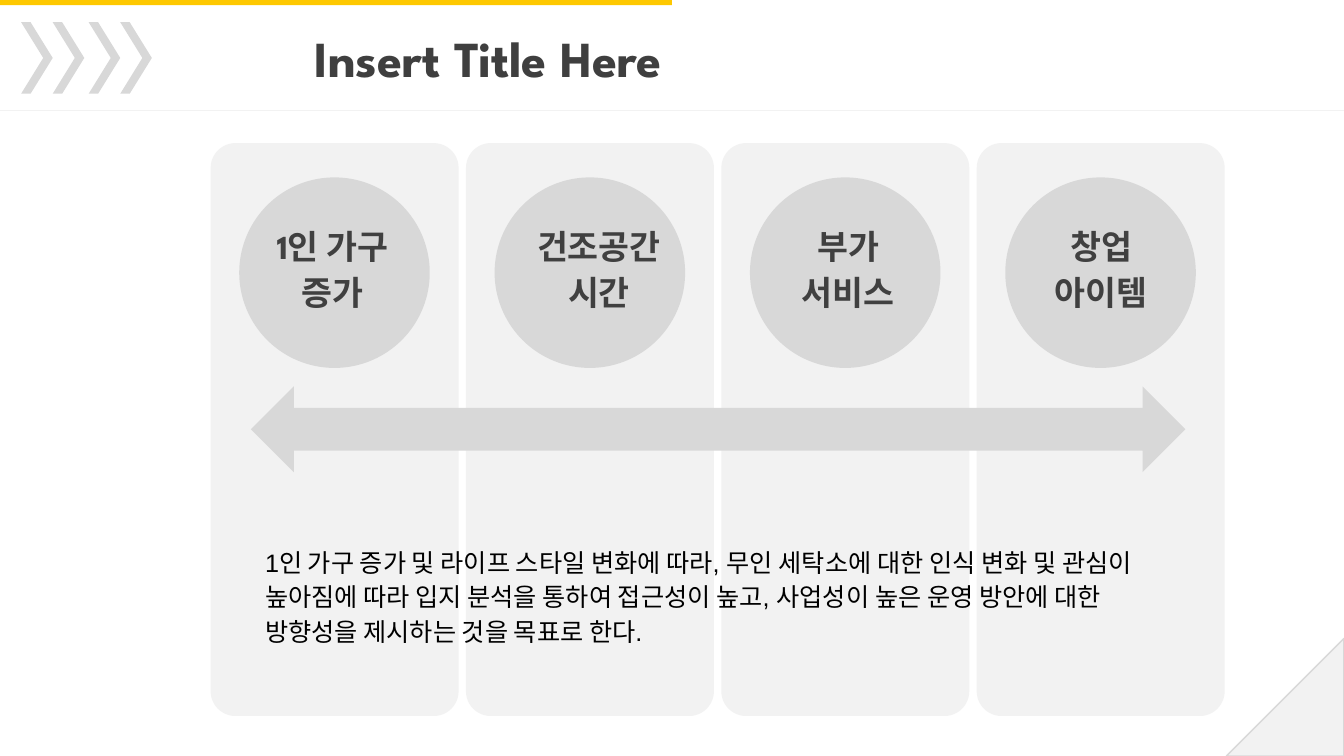
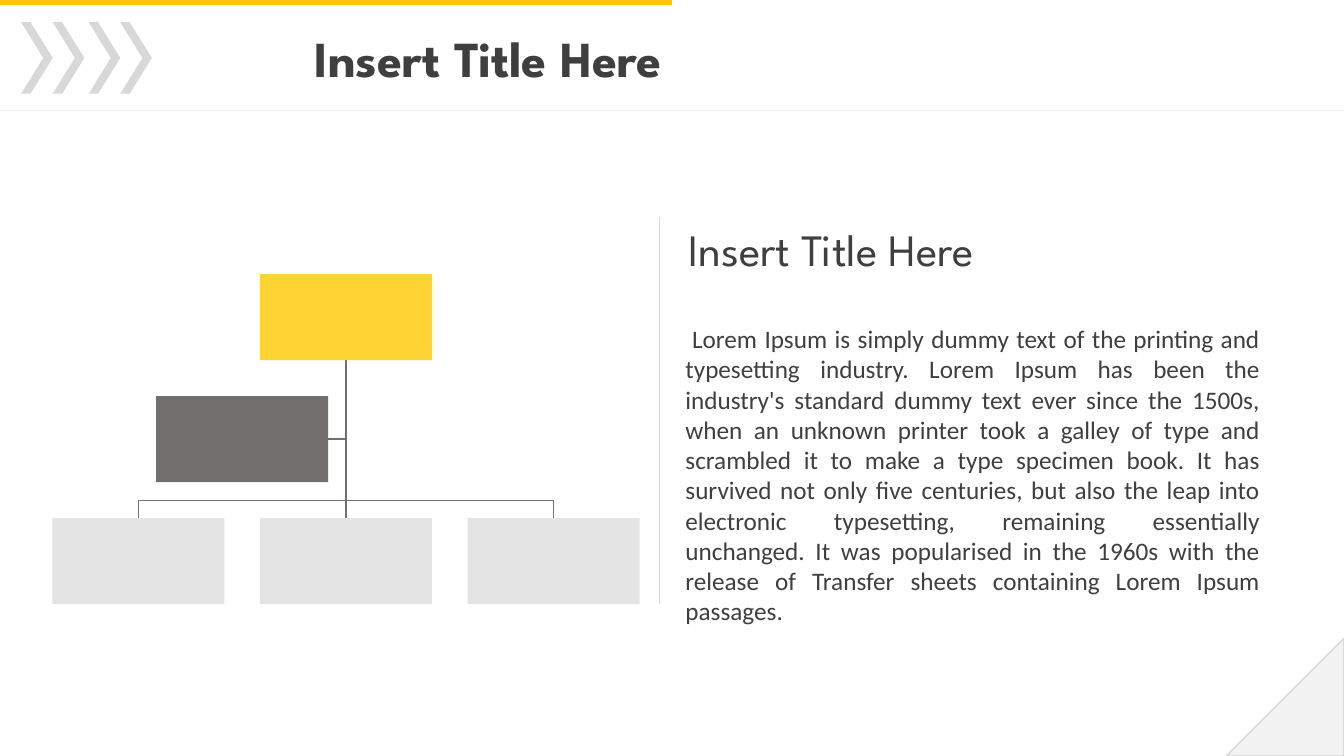
import dataclasses

import lxml.etree
import pptx
import pptx.dml.color
import pptx.enum.shapes
import pptx.enum.text
import pptx.oxml.ns
import pptx.shapes.shapetree
import pptx.util

PX = 3048
SHAPES = pptx.enum.shapes.MSO_SHAPE
ALIGN = pptx.enum.text.PP_ALIGN


@dataclasses.dataclass(frozen=True)
class Theme:
    yellow: str = "FEC800"
    soft_yellow: str = "FED333"
    panel: str = "F2F2F2"
    silver: str = "D8D8D8"
    pale: str = "E4E4E4"
    stone: str = "746F6F"
    ink: str = "3F3F3F"
    label: str = "404040"
    black: str = "000000"
    display: str = "League Spartan"
    sans: str = "Arial"
    reading: str = "Calibri"
    title_size: int = 36
    subtitle_size: int = 32
    label_size: int = 24
    body_size: int = 18
    hairline: float = 0.75
    rule: float = 1


@dataclasses.dataclass(frozen=True)
class Box:
    left: int
    top: int
    width: int
    height: int

    def inside(self, left, top, width, height):
        return Box(self.left + left, self.top + top, width, height)

    def emu(self):
        return [value * PX for value in dataclasses.astuple(self)]


THEME = Theme()
PAGE = Box(0, 0, 4000, 2250)
TITLE = "Insert Title Here"
CARD_LABELS = [
    (-6, 483, [[("1", THEME.display), ("인 가구 증가", THEME.sans)]]),
    (27, 483, [[("건조공간", THEME.sans)], [("시간", THEME.sans)]]),
    (8, 444, [[("부가", THEME.sans)], [("서비스", THEME.sans)]]),
    (1, 444, [[("창업", THEME.sans)], [("아이템", THEME.sans)]]),
]
GOAL = (
    "1인 가구 증가 및 라이프 스타일 변화에 따라, 무인 세탁소에 대한 인식 변화 및 관심이 "
    "높아짐에 따라 입지 분석을 통하여 접근성이 높고, 사업성이 높은 운영 방안에 대한 "
    "방향성을 제시하는 것을 목표로 한다."
)
LOREM = (
    "Lorem Ipsum is simply dummy text of the printing and typesetting industry. "
    "Lorem Ipsum has been the industry's standard dummy text ever since the 1500s, "
    "when an unknown printer took a galley of type and scrambled it to make a type "
    "specimen book. It has survived not only five centuries, but also the leap into "
    "electronic typesetting, remaining essentially unchanged. It was popularised in "
    "the 1960s with the release of Transfer sheets containing Lorem Ipsum passages."
)


def color(value):
    return pptx.dml.color.RGBColor.from_string(value)


def add_filled(shapes, kind, box, fill, adjustments=()):
    shape = shapes.add_shape(kind, *box.emu())
    shape.shadow.inherit = False
    shape.fill.solid()
    shape.fill.fore_color.rgb = color(fill)
    shape.line.fill.background()
    for index, value in enumerate(adjustments):
        shape.adjustments[index] = value
    return shape


def add_line(shapes, start, end, stroke, width):
    points = [value * PX for value in (*start, *end)]
    connector = shapes.add_connector(pptx.enum.shapes.MSO_CONNECTOR.STRAIGHT, *points)
    connector.line.color.rgb = color(stroke)
    connector.line.width = pptx.util.Pt(width)
    lxml.etree.SubElement(connector.element.spPr, pptx.oxml.ns.qn("a:effectLst"))


def prepare_frame(shape, vertical_inset=15):
    frame = shape.text_frame
    frame.word_wrap = True
    frame.auto_size = pptx.enum.text.MSO_AUTO_SIZE.NONE
    frame.vertical_anchor = pptx.enum.text.MSO_ANCHOR.TOP
    frame.margin_left = frame.margin_right = 30 * PX
    frame.margin_top = frame.margin_bottom = vertical_inset * PX
    return frame


def style_paragraph(paragraph, size, ink, name=None, bold=False, align=ALIGN.LEFT, spacing=1.0):
    paragraph.alignment = align
    paragraph.line_spacing = spacing
    paragraph.space_before = pptx.util.Pt(0)
    paragraph.font.size = pptx.util.Pt(size)
    paragraph.font.color.rgb = color(ink)
    paragraph.font.bold = bold
    if name:
        paragraph.font.name = name


def place(shape, box):
    shape.left, shape.top, shape.width, shape.height = box.emu()


def fill_title(slide, box):
    title = slide.shapes.title
    place(title, box)
    paragraph = prepare_frame(title).paragraphs[0]
    paragraph.text = TITLE
    style_paragraph(paragraph, THEME.title_size, THEME.ink, THEME.display, True, ALIGN.RIGHT)


def fill_body(slide, box, text, ink, name, vertical_inset=15, indent=0, **layout):
    body = slide.placeholders[1]
    slide.shapes.element.append(body.element)
    place(body, box)
    paragraph = prepare_frame(body, vertical_inset).paragraphs[0]
    paragraph.text = text
    properties = paragraph._p.get_or_add_pPr()
    properties.set("marL", "0")
    properties.set("indent", str(indent * PX))
    lxml.etree.SubElement(properties, pptx.oxml.ns.qn("a:buNone"))
    style_paragraph(paragraph, THEME.body_size, ink, name, **layout)


def draw_frame(layout, page):
    shapes = pptx.shapes.shapetree.SlideShapes(layout.shapes.element, layout)
    fold = 350
    corner = page.inside(page.width - fold, page.height - fold, fold, fold)
    triangle = add_filled(shapes, SHAPES.RIGHT_TRIANGLE, corner, THEME.panel)
    triangle.element.spPr.xfrm.set("flipH", "1")
    triangle.line.color.rgb = color(THEME.silver)
    triangle.line.width = pptx.util.Pt(THEME.rule)
    add_filled(shapes, SHAPES.RECTANGLE, page.inside(0, 0, page.width // 2, 15), THEME.yellow)
    add_line(shapes, (page.left, page.top + 330), (page.left + page.width, page.top + 330),
             THEME.panel, THEME.hairline)
    for pair in range(2):
        for item in range(2):
            chevron = page.inside(63 + 201 * pair + 94 * item, 66, 94, 213)
            add_filled(shapes, SHAPES.CHEVRON, chevron, THEME.silver, [0.7])


def draw_label(shapes, box, lines):
    frame = prepare_frame(shapes.add_textbox(*box.emu()))
    for index, runs in enumerate(lines):
        paragraph = frame.add_paragraph() if index else frame.paragraphs[0]
        style_paragraph(paragraph, THEME.label_size, THEME.label, bold=True,
                        align=ALIGN.CENTER, spacing=1.15)
        for text, name in runs:
            run = paragraph.add_run()
            run.text = text
            run.font.name = name


def draw_cards(slide, box):
    shapes = slide.shapes
    pitch, card_width, circle = 760, 738, 567
    cards = [box.inside(pitch * index, 0, card_width, box.height)
             for index in range(len(CARD_LABELS))]
    for card in cards:
        add_filled(shapes, SHAPES.ROUNDED_RECTANGLE, card, THEME.panel, [0.1])
        disc = card.inside((card_width - circle) // 2, 102, circle, circle)
        add_filled(shapes, SHAPES.OVAL, disc, THEME.silver)
    add_filled(shapes, SHAPES.LEFT_RIGHT_ARROW, box.inside(120, 724, 2781, 255),
               THEME.silver, [0.5, 0.5])
    for card, (shift, width, lines) in zip(cards, CARD_LABELS):
        draw_label(shapes, card.inside((card_width - width) // 2 + shift, 213, width, 333), lines)
    fill_body(slide, box.inside(132, 1158, 2754, 456), GOAL, THEME.black, THEME.sans,
              vertical_inset=30, spacing=1.15)


def draw_organisation(slide, box):
    shapes = slide.shapes
    width, height, column, row = 512, 256, 618, 363
    head = box.inside(column, 0, width, height)
    staff = box.inside(column // 2, row, width, height)
    teams = [box.inside(column * index, 2 * row, width, height) for index in range(3)]
    centers = [team.left + width // 2 for team in teams]
    trunk, team_top = centers[1], teams[0].top
    bus = team_top - (row - height) // 2
    staff_middle = staff.top + height // 2
    segments = [
        ((trunk, head.top + height), (trunk, team_top)),
        ((staff.left + width, staff_middle), (trunk, staff_middle)),
        ((centers[0], bus), (centers[2], bus)),
        ((centers[0], bus), (centers[0], team_top)),
        ((centers[2], bus), (centers[2], team_top)),
    ]
    for start, end in segments:
        add_line(shapes, start, end, THEME.stone, THEME.rule)
    nodes = [(head, THEME.soft_yellow), *((team, THEME.pale) for team in teams),
             (staff, THEME.stone)]
    for node, fill in nodes:
        add_filled(shapes, SHAPES.RECTANGLE, node, fill)


def draw_article(slide, box):
    fill_body(slide, box.inside(48, 303, 1770, 849), LOREM, THEME.ink, THEME.reading,
              indent=20, align=ALIGN.JUSTIFY)
    subtitle = slide.shapes.add_textbox(*box.inside(57, 0, 1239, 192).emu())
    paragraph = prepare_frame(subtitle).paragraphs[0]
    paragraph.text = TITLE
    style_paragraph(paragraph, THEME.subtitle_size, THEME.ink, THEME.display)
    add_line(slide.shapes, (box.left, box.top), (box.left, box.top + box.height),
             THEME.silver, THEME.hairline)


def add_titled_slide(presentation, layout):
    slide = presentation.slides.add_slide(layout)
    fill_title(slide, PAGE.inside(627, 66, 1374, 213))
    return slide


def main():
    presentation = pptx.Presentation()
    presentation.slide_width, presentation.slide_height = PAGE.width * PX, PAGE.height * PX
    layout = presentation.slide_layouts[1]
    draw_frame(layout, PAGE)
    draw_cards(add_titled_slide(presentation, layout), Box(627, 426, 3018, 1705))
    slide = add_titled_slide(presentation, layout)
    draw_organisation(slide, Box(156, 816, 1748, 982))
    draw_article(slide, Box(1962, 645, 1818, 1152))
    presentation.save("out.pptx")


if __name__ == "__main__":
    main()
